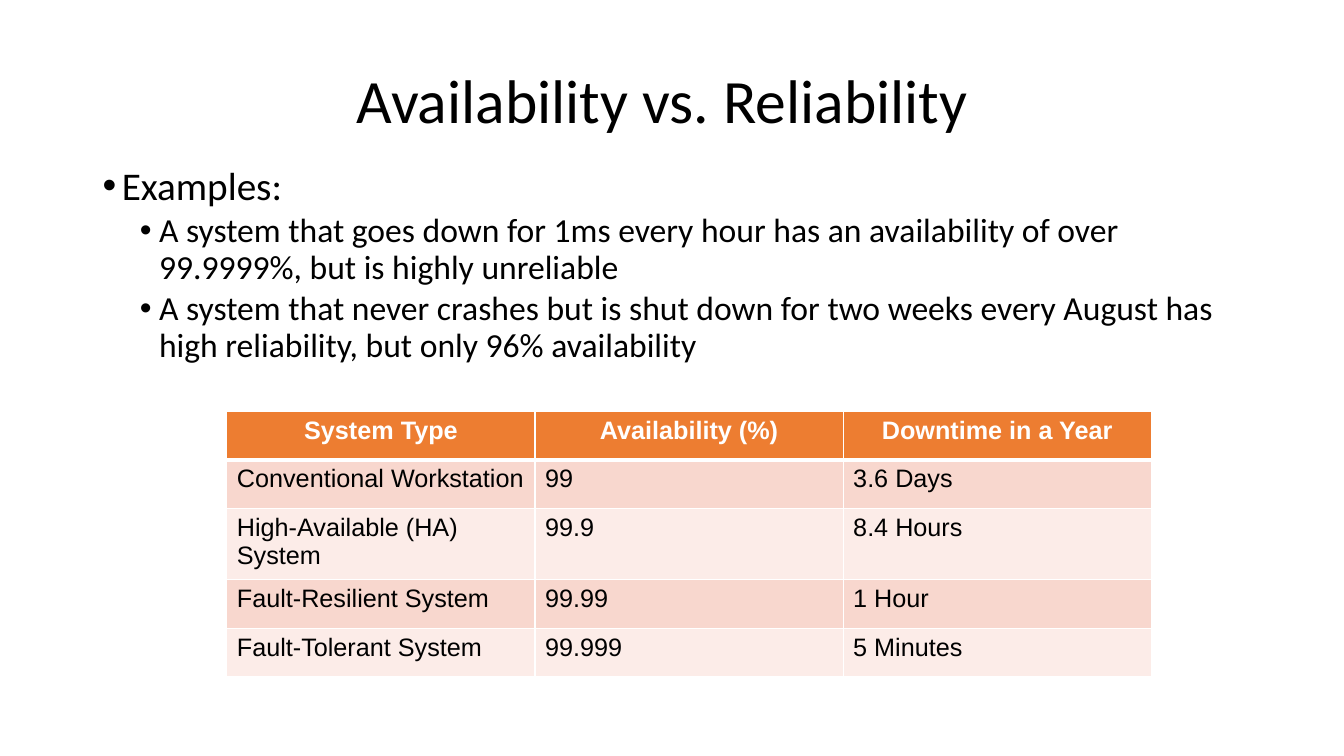
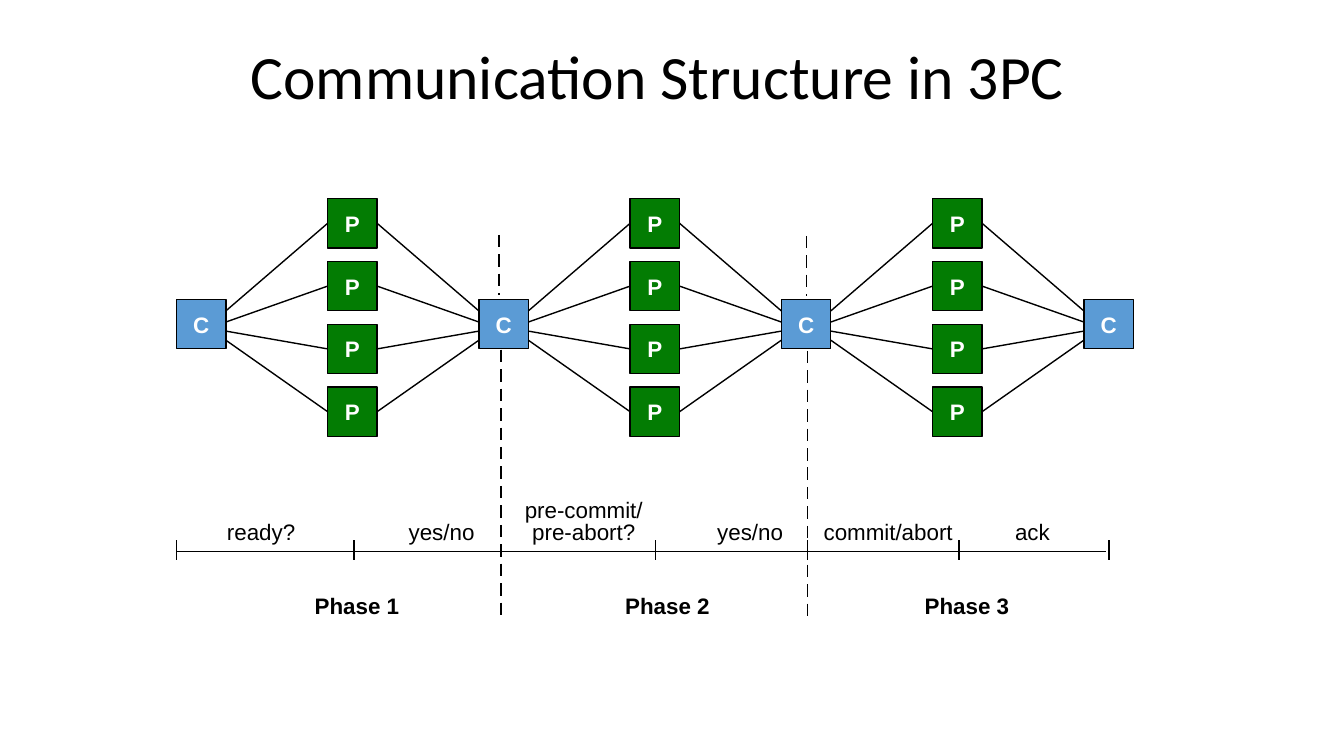
from dataclasses import dataclass

from lxml.etree import SubElement
from pptx import Presentation
from pptx.dml.color import RGBColor
from pptx.enum.shapes import MSO_CONNECTOR, MSO_SHAPE
from pptx.enum.text import MSO_ANCHOR, PP_ALIGN
from pptx.oxml import parse_xml
from pptx.oxml.ns import nsdecls, qn
from pptx.util import Pt

EMU_PER_PX = 9144  # 100 px to the inch
TOP, LEFT, BOTTOM, RIGHT = range(4)


@dataclass(frozen=True)
class Theme:
    black: str = "000000"
    white: str = "FFFFFF"
    header: str = "ED7D31"
    bands: tuple = ("F8D7CE", "FCECE8")
    coordinator: str = "5B9BD5"
    participant: str = "037C03"
    heading_font: str = "Calibri"
    label_font: str = "Arial"
    title: int = 44
    body: tuple = (28, 24)
    cell: int = 18
    label: int = 16
    line: int = 1


@dataclass(frozen=True)
class Box:
    left: int
    top: int
    width: int
    height: int

    def emu(self):
        return [px(value) for value in (self.left, self.top, self.width, self.height)]


THEME = Theme()


def px(value):
    return round(value * EMU_PER_PX)


def set_values(target, values):
    for name, value in values.items():
        setattr(target, name, value)


def write(paragraph, text, font, size, color=THEME.black, bold=False, **layout):
    """Fill a paragraph; layout holds paragraph attributes such as alignment."""
    set_values(paragraph, layout)
    run = paragraph.add_run()
    run.text = text
    set_values(run.font, {"name": font, "size": Pt(size), "bold": bold})
    run.font.color.rgb = RGBColor.from_string(color)


def add_text_frame(slide, box, anchor=MSO_ANCHOR.TOP, wrap=True):
    frame = slide.shapes.add_textbox(*box.emu()).text_frame
    set_values(frame, {"word_wrap": wrap, "vertical_anchor": anchor})
    return frame


def add_title(slide, box, text):
    frame = add_text_frame(slide, box, MSO_ANCHOR.MIDDLE)
    write(frame.paragraphs[0], text, THEME.heading_font, THEME.title,
          alignment=PP_ALIGN.CENTER, line_spacing=0.9)


def add_bullets(slide, box, items):
    """Add (level, text) items as a bulleted list."""
    frame = add_text_frame(slide, box)
    for index, (level, text) in enumerate(items):
        paragraph = frame.add_paragraph() if index else frame.paragraphs[0]
        write(paragraph, text, THEME.heading_font, THEME.body[level], level=level,
              line_spacing=0.9, space_before=Pt((7.5, 3.8)[level]))
        properties = paragraph._p.get_or_add_pPr()
        properties.set("marL", str(px((19, 56)[level])))
        properties.set("indent", str(px(-19)))
        SubElement(properties, qn("a:buFont"), typeface="Arial")
        SubElement(properties, qn("a:buChar"), char="•")


def add_cell_borders(cell, bottom_width):
    properties = cell._tc.get_or_add_tcPr()
    widths = {"lnL": 1, "lnR": 1, "lnT": 1, "lnB": bottom_width}
    for index, (tag, width) in enumerate(widths.items()):
        properties.insert(index, parse_xml(
            f'<a:{tag} {nsdecls("a")} w="{Pt(width)}"><a:solidFill>'
            f'<a:srgbClr val="{THEME.white}"/></a:solidFill></a:{tag}>'))


def add_banded_table(slide, box, rows):
    table = slide.shapes.add_table(len(rows), len(rows[0]), *box.emu()).table
    for column in table.columns:
        column.width = px(box.width / len(rows[0]))
    for row_index, row in enumerate(rows):
        is_header = row_index == 0
        table.rows[row_index].height = px(box.height / len(rows))
        for column_index, text in enumerate(row):
            cell = table.cell(row_index, column_index)
            fill = THEME.header if is_header else THEME.bands[(row_index - 1) % 2]
            cell.fill.solid()
            cell.fill.fore_color.rgb = RGBColor.from_string(fill)
            add_cell_borders(cell, 3 if is_header or row_index == 0 else 1)
            write(cell.text_frame.paragraphs[0], text, THEME.label_font, THEME.cell,
                  THEME.white if is_header else THEME.black, is_header,
                  alignment=PP_ALIGN.CENTER if is_header else PP_ALIGN.LEFT)


def add_line(slide, start, end, dashed=False):
    points = [px(value) for value in (*start, *end)]
    connector = slide.shapes.add_connector(MSO_CONNECTOR.STRAIGHT, *points)
    connector.line.width = Pt(THEME.line)
    connector.line.color.rgb = RGBColor.from_string(THEME.black)
    if dashed:
        dashes = SubElement(connector.line._get_or_add_ln(), qn("a:custDash"))
        SubElement(dashes, qn("a:ds"), d="900000", sp="500000")
    SubElement(connector._element.spPr, qn("a:effectLst"))
    return connector


def add_node(slide, box, letter, color):
    node = slide.shapes.add_shape(MSO_SHAPE.RECTANGLE, *box.emu())
    node.shadow.inherit = False
    node.fill.solid()
    node.fill.fore_color.rgb = RGBColor.from_string(color)
    node.line.color.rgb = RGBColor.from_string(THEME.black)
    node.line.width = Pt(THEME.line)
    set_values(node.text_frame, {"vertical_anchor": MSO_ANCHOR.MIDDLE, "word_wrap": False})
    write(node.text_frame.paragraphs[0], letter, THEME.label_font, THEME.label,
          THEME.white, True, alignment=PP_ALIGN.CENTER)
    return node


def add_message_network(slide, box, phases):
    """Alternate single coordinators with columns of four participants."""
    size, hub_drop = 49, 100
    spoke_offsets = (-13, -2, 7, 16)
    pitch = (box.width - size) / (2 * phases)
    row_gap = (box.height - size) / (len(spoke_offsets) - 1)
    hub_top = box.top + hub_drop
    hub_middle = hub_top + size / 2
    for index in range(phases + 1):
        hub = Box(box.left + 2 * index * pitch, hub_top, size, size)
        add_node(slide, hub, "C", THEME.coordinator)
    for phase in range(phases):
        left = box.left + (2 * phase + 1) * pitch
        sides = ((LEFT, left - pitch + size), (RIGHT, left + pitch))
        for row, offset in enumerate(spoke_offsets):
            top = box.top + row * row_gap
            node = add_node(slide, Box(left, top, size, size), "P", THEME.participant)
            for site, hub_edge in sides:
                spoke = add_line(slide, (left, top), (hub_edge, hub_middle + offset))
                spoke.begin_connect(node, site)


def add_label(slide, center, bottom, text, bold=False):
    width, height = 160, 36
    box = Box(center - width / 2, bottom - height, width, height)
    frame = add_text_frame(slide, box, MSO_ANCHOR.BOTTOM, wrap=False)
    for index, line in enumerate(text.split("\n")):
        paragraph = frame.add_paragraph() if index else frame.paragraphs[0]
        write(paragraph, line, THEME.label_font, THEME.label, bold=bold,
              alignment=PP_ALIGN.CENTER, line_spacing=0.82)


def add_timeline(slide, box, ticks, messages, phases):
    """Draw the axis at the box's top; horizontal places count from its left."""
    axis = box.top
    add_line(slide, (box.left, axis), (box.left + box.width, axis))
    for place in ticks:
        x = box.left + place
        add_line(slide, (x, axis - 11), (x, axis + 9))
    for place, text in messages:
        add_label(slide, box.left + place, axis - 1, text)
    for place, text in phases:
        add_label(slide, box.left + place, axis + box.height, text, bold=True)


def add_phase_divider(slide, box):
    """Draw a dashed line in two parts, leaving room for a coordinator."""
    right = box.left + box.width
    add_line(slide, (box.left, box.top), (box.left, box.top + 60), dashed=True)
    add_line(slide, (right, box.top + 114), (right, box.top + box.height), dashed=True)


def build_availability_slide(slide):
    add_title(slide, Box(92, 30, 1130, 145), "Availability vs. Reliability")
    add_bullets(slide, Box(92, 160, 1130, 550), [
        (0, "Examples:"),
        (1, "A system that goes down for 1ms every hour has an availability of over "
            "99.9999%, but is highly unreliable"),
        (1, "A system that never crashes but is shut down for two weeks every August "
            "has high reliability, but only 96% availability"),
    ])
    add_banded_table(slide, Box(225, 408, 917, 242), [
        ("System Type", "Availability (%)", "Downtime in a Year"),
        ("Conventional Workstation", "99", "3.6 Days"),
        ("High-Available (HA) System", "99.9", "8.4 Hours"),
        ("Fault-Resilient System", "99.99", "1 Hour"),
        ("Fault-Tolerant System", "99.999", "5 Minutes"),
    ])


def build_commit_slide(slide):
    add_title(slide, Box(190, 6, 925, 145), "Communication Structure in 3PC")
    for divider in (Box(495, 233, 2, 379), Box(800, 234, 1, 379)):
        add_phase_divider(slide, divider)
    add_message_network(slide, Box(175, 197, 949, 236), phases=3)
    add_timeline(
        slide, Box(175, 547, 922, 72),
        ticks=(0, 176, 475, 626, 776, 925),
        messages=((84, "ready?"), (263, "yes/no"), (404, "pre-commit/\npre-abort?"),
                  (569, "yes/no"), (706, "commit/abort"), (849, "ack")),
        phases=((179, "Phase 1"), (487, "Phase 2"), (784, "Phase 3")))


def main():
    presentation = Presentation()
    set_values(presentation, {"slide_width": px(1333), "slide_height": px(750)})
    for build in (build_availability_slide, build_commit_slide):
        build(presentation.slides.add_slide(presentation.slide_layouts[6]))
    presentation.save("out.pptx")


if __name__ == "__main__":
    main()
